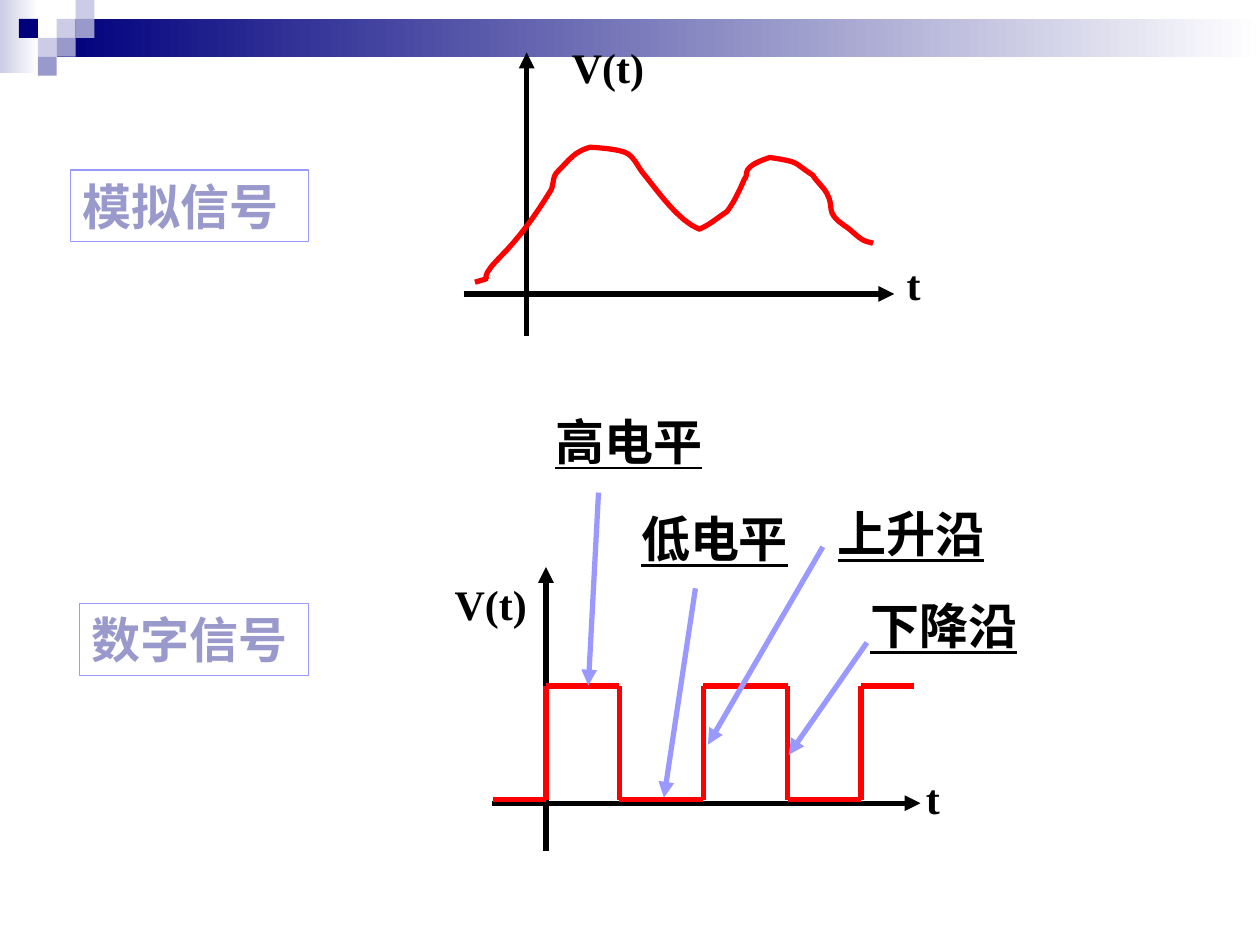
from itertools import pairwise
from lxml import etree
from pptx import Presentation
from pptx import util as u
from pptx.dml import color as col
from pptx.enum import shapes, text
from pptx.oxml import ns

HUES = {"navy": "00007D", "mid": "9999CC", "pale": "CCCCE6", "white": "FFFFFF",
        "ink": "000000", "wave": "FF0000", "note": "9999FF"}
FRAME = {"word_wrap": True, "auto_size": text.MSO_AUTO_SIZE.SHAPE_TO_FIT_TEXT,
         "vertical_anchor": text.MSO_ANCHOR.TOP,
         "margin_left": u.Pt(7.2), "margin_right": u.Pt(7.2),
         "margin_top": u.Pt(3.6), "margin_bottom": u.Pt(3.6)}
CELL = 10.8
CELLS = [(3, 1, "pale"), (4, 0, "pale"), (4, 1, "mid"), (2, 2, "pale"),
         (1, 1, "navy"), (3, 2, "mid"), (2, 3, "mid")]
START = (271.4, 161.3)
CURVE = [
    (285.8, 157, 269.3, 163.4, 285.8, 146.9),
    (296.6, 136.1, 306, 123.1, 313.9, 110.2),
    (316.8, 106.6, 315.4, 101.5, 318.2, 98.6),
    (325.4, 91.4, 327.6, 87.1, 337, 84.2),
    (338.4, 84.2, 354.2, 85, 358.6, 87.8),
    (362.9, 90.7, 364.3, 95, 367.2, 98.6),
    (376.6, 110.2, 387.4, 126, 399.6, 131),
    (406.1, 128.2, 409.7, 124.6, 415.4, 121),
    (419.8, 115.2, 422.6, 108.7, 425.5, 102.2),
    (427, 100.8, 426.2, 97.9, 427.7, 96.5),
    (430.6, 92.9, 436.3, 91.4, 439.9, 90),
    (457.9, 92.9, 452.2, 92.2, 464.4, 100.1),
    (466.6, 103.7, 470.2, 106.6, 472.3, 110.2),
    (477.4, 118.8, 470.9, 121, 482.4, 128.9),
    (486, 131, 488.9, 134.6, 492.5, 136.8),
    (494.6, 138.2, 499, 139, 499, 139),
]
LOW, HIGH = 457, 392
EDGES = [312, 354, 402, 450, 492]
NOTES = [
    ("高电平", (310.3, 231.8, 113.8), (342, 281.5), (336.2, 391.7)),
    ("低电平", (359.3, 287.3, 103.7), (397.4, 336.2), (379.4, 455.8)),
    ("上升沿", (471.6, 284.4, 102.2), (470.2, 312.5), (404.6, 425.5)),
    ("下降沿", (490.3, 337, 108), (495.4, 367.2), (450.7, 431.3)),
]


def hue(name):
    return col.RGBColor.from_string(HUES[name])


def apply(item, vals):
    for key, val in vals.items():
        setattr(item, key, val)


def block(slide, box, *tones):
    shape = slide.shapes.add_shape(shapes.MSO_SHAPE.RECTANGLE, *map(u.Pt, box))
    shape.shadow.inherit = False
    shape.line.fill.background()
    if len(tones) == 1:
        shape.fill.solid()
        shape.fill.fore_color.rgb = hue(tones[0])
    else:
        shape.fill.gradient()
        shape.fill.gradient_angle = 0
        for stop, tone in zip(shape.fill.gradient_stops, tones):
            stop.color.rgb = hue(tone)


def label(slide, words, box, size, tone="ink", line=False, edge=None):
    shape = slide.shapes.add_textbox(*map(u.Pt, box))
    if edge:
        apply(shape.line, {"width": u.Pt(0.75)})
        shape.line.color.rgb = hue(edge)
    apply(shape.text_frame, FRAME)
    run = shape.text_frame.paragraphs[0].add_run()
    run.text = words
    apply(run.font, {"name": "Times New Roman", "size": u.Pt(size),
                     "bold": True, "underline": line or None})
    run.font.color.rgb = hue(tone)


def stroke(slide, start, end, tone, arrow=False):
    link = slide.shapes.add_connector(shapes.MSO_CONNECTOR.STRAIGHT,
                                      *map(u.Pt, start + end))
    link.line.width = u.Pt(3)
    link.line.color.rgb = hue(tone)
    if arrow:
        tail = etree.SubElement(link.line._get_or_add_ln(), ns.qn("a:tailEnd"))
        tail.set("type", "triangle")
    etree.SubElement(link._element.spPr, ns.qn("a:effectLst"))


def axes(slide, cross, left, right, base, top, time, volt):
    x, y = cross
    label(slide, "t", time, 24)
    stroke(slide, (left, y), (right, y), "ink", True)
    stroke(slide, (x, base), (x, top), "ink", True)
    label(slide, "V(t)", volt, 24)


def bend(start, curve, steps=8):
    for a, b, c, d, x, y in curve:
        for i in range(1, steps + 1):
            t = i / steps
            s = 1 - t
            yield tuple(u.Pt(s**3 * p + 3 * s * s * t * q + 3 * s * t * t * r + t**3 * e)
                        for p, q, r, e in zip(start, (a, b), (c, d), (x, y)))
        start = (x, y)


def analog(slide):
    axes(slide, (301, 168), 265, 511, 192, 30,
         (511, 144, 48, 36), (319.7, 20, 79, 36))
    pen = slide.shapes.build_freeform(*map(u.Pt, START))
    pen.add_line_segments(list(bend(START, CURVE)), close=False)
    wave = pen.convert_to_shape()
    wave.shadow.inherit = False
    wave.fill.background()
    wave.line.width = u.Pt(3)
    wave.line.color.rgb = hue("wave")


def pulse(slide):
    axes(slide, (312, 459), 281, 526, 486, 324,
         (522, 437.8, 48, 36), (252.7, 326.9, 61, 36))
    spots, now, new = [(282, LOW)], LOW, HIGH
    for x in EDGES:
        spots += [(x, now), (x, new)]
        now, new = new, now
    spots.append((522, now))
    for start, end in pairwise(spots):
        stroke(slide, start, end, "wave")


def main():
    deck = Presentation()
    apply(deck, {"slide_width": u.Pt(720), "slide_height": u.Pt(540)})
    slide = deck.slides.add_slide(deck.slide_layouts[6])
    block(slide, (0, 0, 22, 42), "pale", "white")
    block(slide, (32.4, CELL, 687.6, 21.6), "navy", "white")
    for x, y, tone in CELLS:
        block(slide, (x * CELL, y * CELL, CELL, CELL), tone)
    label(slide, "模拟信号", (40.3, 97.2, 136, 41), 28, "mid", edge="note")
    analog(slide)
    pulse(slide)
    label(slide, "数字信号", (45.3, 344.9, 131, 41), 28, "mid", edge="note")
    for words, box, start, end in NOTES:
        label(slide, words, box + (41,), 28, line=True)
        stroke(slide, start, end, "note", True)
    deck.save("out.pptx")


if __name__ == "__main__":
    main()
